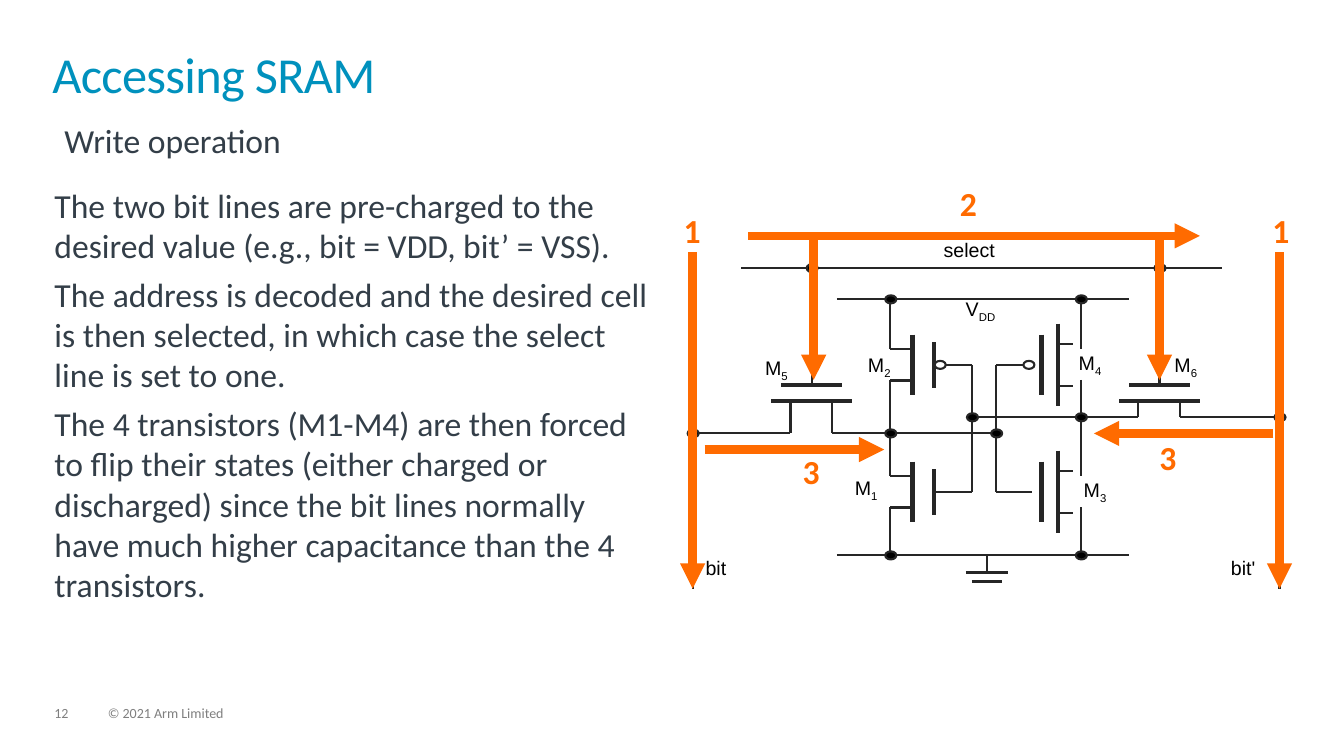
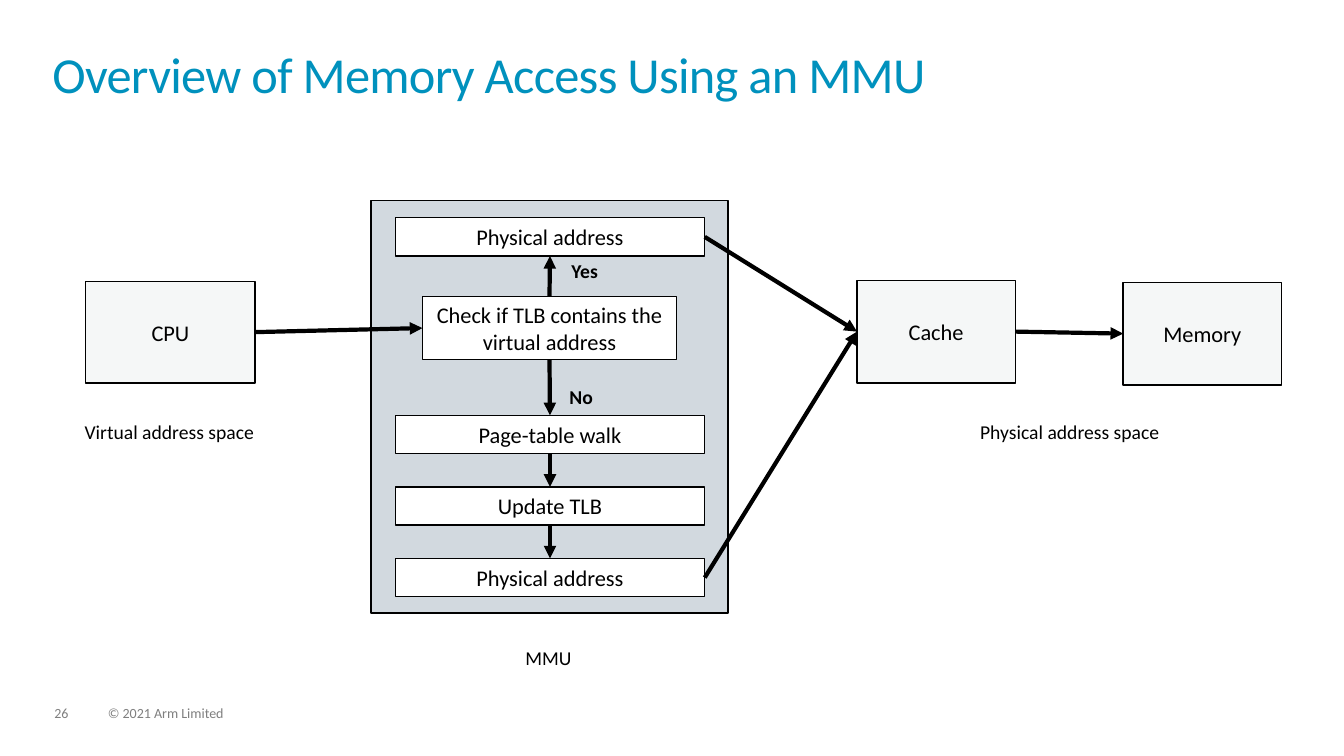
from lxml.etree import SubElement
from pptx import Presentation
from pptx.dml.color import RGBColor
from pptx.enum.shapes import MSO_CONNECTOR, MSO_SHAPE
from pptx.enum.text import MSO_ANCHOR, MSO_AUTO_SIZE, PP_ALIGN
from pptx.oxml.ns import qn
from pptx.util import Inches, Pt

COLORS = {
    "title": "0091BD", "body": "333E48", "footer": "7F7F7F", "wire": "262626",
    "step": "FF6B00", "black": "000000", "white": "FFFFFF",
    "unit": "F5F7F7", "mmu": "D2D9DF",
}
FOOTER = "© 2021 Arm Limited"

WRITE_STEPS = [
    "The two bit lines are pre-charged to the desired value (e.g., bit = VDD, bit’ = VSS).",
    "The address is decoded and the desired cell is then selected, in which case the "
    "select line is set to one.",
    "The 4 transistors (M1-M4) are then forced to flip their states (either charged or "
    "discharged) since the bit lines normally have much higher capacitance than the 4 "
    "transistors.",
]
BIT_X = (6.87, 12.69)
BIT_Y = (2.5, 5.84)
SELECT_Y, VDD_Y, GROUND_Y = 2.66, 2.97, 5.51
NODE_Y = (4.3, 4.14)
INNER_X = (8.83, 10.72)
GATE_X = (9.64, 9.88)
PASS_X = (8.05, 11.5)
PAIR_Y = (3.62, 4.88)
BUBBLE_X = (9.32, 10.2)
GROUND_X = 9.79

SIDES = [
    {"channel": 9.05, "stub": -0.22, "gap": 0.21, "half": 0.3, "plate": 0.225, "tap": 0.155},
    {"channel": 10.49, "stub": 0.15, "gap": -0.16, "half": 0.41, "plate": 0.3, "tap": 0.21},
]
CELL_LABELS = [
    ("bit", 6.9, 5.47), ("bit'", 12.11, 5.47), ("select", 9.26, 2.31), ("V_DD", 9.48, 2.9),
    ("M_5", 7.49, 3.48), ("M_2", 8.51, 3.45), ("M_4", 10.6, 3.43), ("M_6", 11.55, 3.45),
    ("M_1", 8.38, 4.67), ("M_3", 10.65, 4.69),
]
STEP_ARROWS = [
    ((7.42, 2.34), (11.9, 2.34)), ((8.07, 2.36), (8.07, 3.77)),
    ((11.5, 2.36), (11.5, 3.77)), ((12.63, 4.3), (10.85, 4.3)),
    ((6.99, 4.46), (8.77, 4.46)),
    *[((x, BIT_Y[0]), (x, BIT_Y[1])) for x in BIT_X],
]
STEP_NUMBERS = [("2", 9.52, 1.86), ("3", 7.96, 4.52), ("3", 11.5, 4.38),
                ("1", 6.78, 2.13), ("1", 12.62, 2.13)]

FLOW_X, FLOW_W, FLOW_H = 3.92, 3.07, 0.38
UNITS = {
    "CPU": ("CPU", (0.85, 2.79, 1.68, 1.01), "unit"),
    "cache": ("Cache", (8.5, 2.78, 1.57, 1.02), "unit"),
    "memory": ("Memory", (11.14, 2.8, 1.57, 1.02), "unit"),
    "check": ("Check if TLB contains the virtual address", (4.19, 2.94, 2.52, 0.63), "white"),
    **{key: (text, (FLOW_X, top, FLOW_W, FLOW_H), "white") for key, text, top in [
        ("hit", "Physical address", 2.16), ("walk", "Page-table walk", 4.12),
        ("update", "Update TLB", 4.83), ("miss", "Physical address", 5.54)]},
}
TOP, LEFT, BOTTOM, RIGHT = range(4)
FLOWS = [
    ("CPU", RIGHT, "check", LEFT), ("check", TOP, "hit", BOTTOM),
    ("check", BOTTOM, "walk", TOP), ("walk", BOTTOM, "update", TOP),
    ("update", BOTTOM, "miss", TOP), ("hit", RIGHT, "cache", LEFT),
    ("miss", RIGHT, "cache", LEFT), ("cache", RIGHT, "memory", LEFT),
]
ANSWERS = [("No", (5.55, 3.77, 0.46, 0.34)), ("Yes", (5.57, 2.52, 0.54, 0.34))]
CAPTIONS = [
    ("Virtual address space", (0.31, 4.12, 2.74, 0.38)),
    ("Physical address space", (9.08, 4.12, 3.06, 0.31)),
    ("MMU", (4.13, 6.36, 2.62, 0.29)),
]


def rgb(name):
    return RGBColor.from_string(COLORS[name])


def inches(values):
    return [Inches(value) for value in values]


def write(shape, paragraphs, size=14, color="black", font="Calibri", bold=False,
          align=PP_ALIGN.LEFT, anchor=MSO_ANCHOR.TOP, inset=True, wrap=True,
          line=1.0, before=0, tracking=None):
    frame = shape.text_frame
    frame.word_wrap = wrap
    frame.auto_size = MSO_AUTO_SIZE.NONE
    frame.vertical_anchor = anchor
    frame.margin_left = frame.margin_right = Inches(0.1 if inset else 0)
    frame.margin_top = frame.margin_bottom = Inches(0.05 if inset else 0)
    for index, text in enumerate(paragraphs):
        paragraph = frame.add_paragraph() if index else frame.paragraphs[0]
        properties = paragraph._p.get_or_add_pPr()
        properties.set("marL", "0")
        properties.set("indent", "0")
        SubElement(properties, qn("a:buNone"))
        paragraph.alignment = align
        paragraph.line_spacing = line
        paragraph.space_before = Pt(before if index else 0)
        for part, subscript in zip(text.split("_"), (False, True)):
            run = paragraph.add_run()
            run.text = part
            run.font.size, run.font.name, run.font.bold = Pt(size), font, bold
            run.font.color.rgb = rgb(color)
            if subscript:
                run._r.get_or_add_rPr().set("baseline", "-25000")
            if tracking:
                run._r.get_or_add_rPr().set("spc", str(tracking))


def add_text(slide, text, box, **style):
    write(slide.shapes.add_textbox(*inches(box)), [text], **style)


def place(placeholder, box, paragraphs, **style):
    (placeholder.left, placeholder.top,
     placeholder.width, placeholder.height) = inches(box)
    write(placeholder, paragraphs, inset=False, **style)


def add_outline(slide, kind, box, fill, line="black", width=1):
    shape = slide.shapes.add_shape(kind, *inches(box))
    shape.shadow.inherit = False
    shape.fill.solid()
    shape.fill.fore_color.rgb = rgb(fill)
    shape.line.color.rgb = rgb(line)
    shape.line.width = Pt(width)
    return shape


def add_line(slide, start=(0, 0), end=(0, 0), color="wire", width=1.5, arrow=False):
    connector = slide.shapes.add_connector(MSO_CONNECTOR.STRAIGHT, *inches((*start, *end)))
    connector.line.color.rgb = rgb(color)
    connector.line.width = Pt(width)
    properties = connector._element.spPr
    if arrow:
        SubElement(properties.find(qn("a:ln")), qn("a:tailEnd"), type="triangle")
    SubElement(properties, qn("a:effectLst"))
    return connector


def add_dot(slide, x, y, fill="black"):
    add_outline(slide, MSO_SHAPE.OVAL, (x - 0.05, y - 0.04, 0.11, 0.08), fill, "wire", 1.5)


def start_slide(deck, layout, title, number):
    slide = deck.slides.add_slide(deck.slide_layouts[layout])
    place(slide.shapes.title, (0.52, 0.52, 12.28, 0.72), [title],
          size=36, color="title", line=0.85, tracking=-50)
    for text, left, width in ((number, 0.54, 0.34), (FOOTER, 1.07, 5.07)):
        add_text(slide, text, (left, 7.01, width, 0.15),
                 size=10, color="footer", inset=False, line=0.9)
    return slide


def draw_wires(slide):
    def across(y, start, end, width=1.5):
        add_line(slide, (start, y), (end, y), width=width)

    def down(x, start, end, width=1.5):
        add_line(slide, (x, start), (x, end), width=width)

    for x in BIT_X:
        down(x, *BIT_Y)
    across(SELECT_Y, 7.35, 12.12)
    for y in (VDD_Y, GROUND_Y):
        across(y, 8.3, 11.2)

    for x, y in zip(PASS_X, NODE_Y):
        down(x, SELECT_Y, 3.82)
        across(3.82, x - 0.3, x + 0.3, 3)
        across(3.98, x - 0.4, x + 0.4, 3)
        for leg in (x - 0.21, x + 0.2):
            down(leg, 3.98, y)
    for y, start, end in ((NODE_Y[0], BIT_X[0], PASS_X[0] - 0.21),
                          (NODE_Y[0], PASS_X[0] + 0.2, GATE_X[1]),
                          (NODE_Y[1], GATE_X[0], PASS_X[1] - 0.21),
                          (NODE_Y[1], PASS_X[1] + 0.2, BIT_X[1])):
        across(y, start, end)

    for side in SIDES:
        channel = side["channel"]
        for y in PAIR_Y:
            down(channel, y - side["half"], y + side["half"], 3)
            down(channel + side["gap"], y - side["plate"], y + side["plate"], 3)
            for tap in (y - side["tap"], y + side["tap"]):
                across(tap, channel, channel + side["stub"])
    for x in INNER_X:
        for start, end in ((VDD_Y, 3.46), (3.77, 4.72), (5.03, GROUND_Y)):
            down(x, start, end)

    for x, bubble, bottom in zip(GATE_X, BUBBLE_X, (9.26, 10.24)):
        down(x, *PAIR_Y)
        across(PAIR_Y[0], x, bubble)
        across(PAIR_Y[1], x, bottom)
        add_dot(slide, bubble, PAIR_Y[0], "white")

    down(GROUND_X, GROUND_Y, 5.68)
    for y, half in ((5.68, 0.21), (5.77, 0.15)):
        across(y, GROUND_X - half, GROUND_X + half, 2.25)

    joints = [(x, y) for x in INNER_X for y in (VDD_Y, GROUND_Y)]
    joints += [(x, SELECT_Y) for x in PASS_X]
    joints += [(x, NODE_Y[0]) for x in (BIT_X[0], INNER_X[0], GATE_X[1])]
    joints += [(x, NODE_Y[1]) for x in (GATE_X[0], INNER_X[1], BIT_X[1])]
    for x, y in joints:
        add_dot(slide, x, y)


def build_sram(deck):
    slide = start_slide(deck, 1, "Accessing SRAM", "12")
    add_text(slide, "Write operation", (0.54, 1.14, 12.23, 0.38), size=24, color="body")
    place(slide.placeholders[1], (0.54, 1.83, 5.98, 4.47), WRITE_STEPS,
          size=24, color="body", before=6)
    draw_wires(slide)
    for text, left, top in CELL_LABELS:
        add_text(slide, text, (left, top, 1.04, 0.34), font="Arial")
    for start, end in STEP_ARROWS:
        add_line(slide, start, end, "step", 6, arrow=True)
    for text, left, top in STEP_NUMBERS:
        add_text(slide, text, (left, top, 0.17, 0.36), size=24, color="step",
                 bold=True, inset=False, wrap=False, line=0.9)


def build_mmu(deck):
    slide = start_slide(deck, 5, "Overview of Memory Access Using an MMU", "26")
    add_outline(slide, MSO_SHAPE.RECTANGLE, (3.68, 1.99, 3.54, 4.09), "mmu")
    units = {}
    for key, (text, box, fill) in UNITS.items():
        units[key] = add_outline(slide, MSO_SHAPE.RECTANGLE, box, fill)
        write(units[key], [text], size=16, align=PP_ALIGN.CENTER, anchor=MSO_ANCHOR.MIDDLE)
    for source, source_side, target, target_side in FLOWS:
        flow = add_line(slide, color="black", width=3, arrow=True)
        flow.begin_connect(units[source], source_side)
        flow.end_connect(units[target], target_side)
    for text, box in ANSWERS:
        add_text(slide, text, box, bold=True, anchor=MSO_ANCHOR.MIDDLE, wrap=False)
    for text, box in CAPTIONS:
        add_text(slide, text, box, align=PP_ALIGN.CENTER)


def main():
    deck = Presentation()
    deck.slide_width, deck.slide_height = Inches(13.33), Inches(7.5)
    build_sram(deck)
    build_mmu(deck)
    deck.save("out.pptx")


if __name__ == "__main__":
    main()
